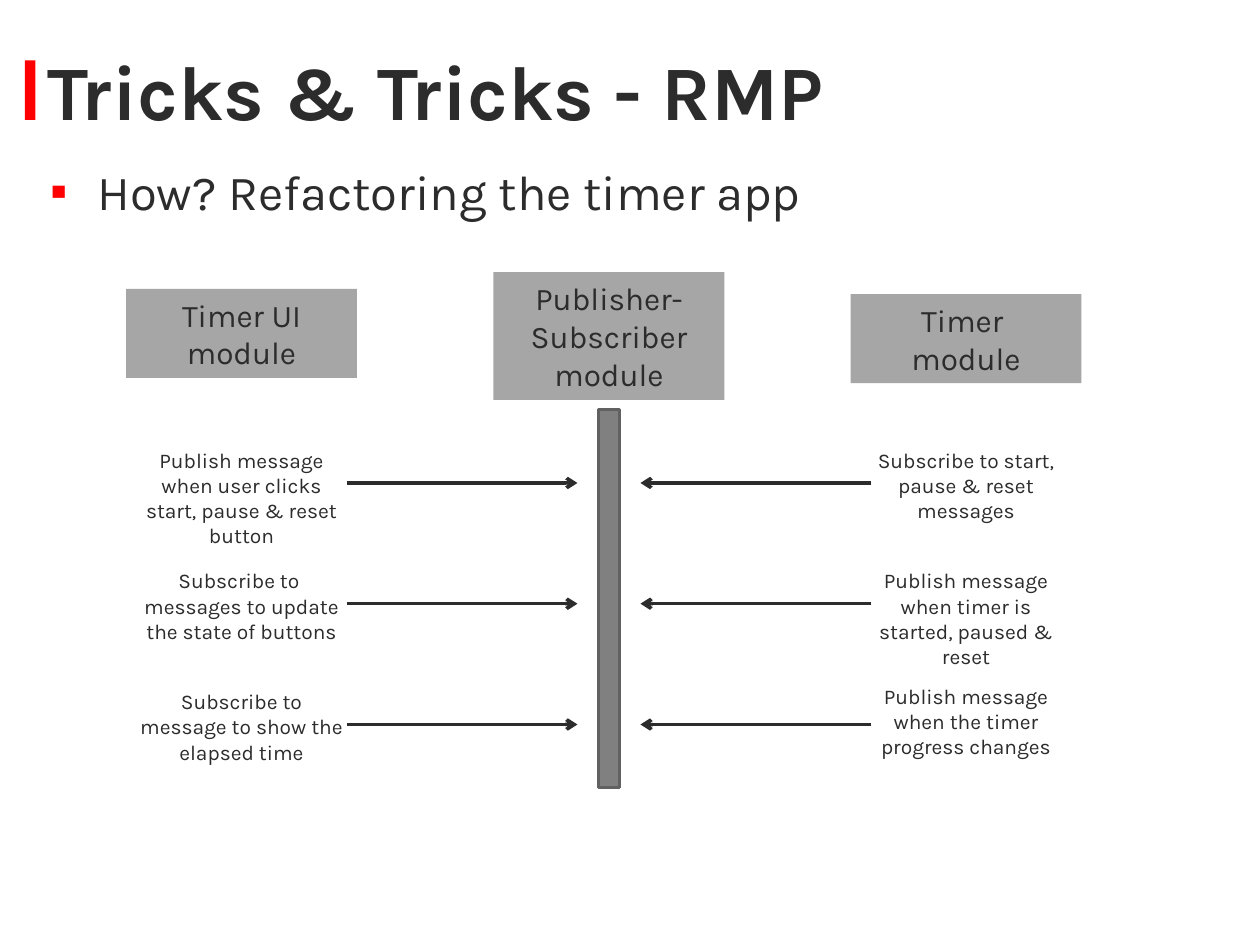
from lxml.etree import SubElement, Element
from pptx import Presentation
from pptx.dml.color import RGBColor
from pptx.enum.shapes import MSO_CONNECTOR, MSO_SHAPE
from pptx.enum.text import MSO_ANCHOR, MSO_AUTO_SIZE, PP_ALIGN
from pptx.oxml.ns import qn
from pptx.util import Pt

RED = RGBColor(0xFF, 0x00, 0x00)
INK = RGBColor(0x2C, 0x2C, 0x2C)
SILVER = RGBColor(0xA6, 0xA6, 0xA6)
GRAY = RGBColor(0x80, 0x80, 0x80)
EDGE = RGBColor(0x61, 0x61, 0x61)
FONT = "Karla"

# Column and row grid, in points
LEFT, MID, RIGHT = 72, 282, 486
WIDTH = 132
ROW, STEP = 276, 69

HEADS = [
    (LEFT, 165, 51, "Timer UI module"),
    (RIGHT, 168, 51, "Timer \nmodule"),
    (MID, 155.5, 73, "Publisher-Subscriber module"),
]
# Left text, right text, lift of each text above its arrow
NOTES = [
    ("Publish message when user clicks start, pause & reset button", 24,
     "Subscribe to start, pause & reset messages", 24),
    ("Subscribe to \nmessages to update the state of buttons", 24,
     "Publish message when timer is started, paused & reset", 24),
    ("Subscribe to message to show the elapsed time", 24,
     "Publish message when the timer progress changes", 27),
]


def place(shape, x, y, w, h):
    shape.left, shape.top, shape.width, shape.height = Pt(x), Pt(y), Pt(w), Pt(h)


def write(shape, text, size, align=PP_ALIGN.CENTER, bold=False):
    frame = shape.text_frame
    frame.text = text
    frame.word_wrap = True
    frame.auto_size = MSO_AUTO_SIZE.NONE
    for para in frame.paragraphs:
        para.alignment = align
        font = para.font
        font.name, font.size, font.bold = FONT, Pt(size), bold
        font.color.rgb = INK


def add_bar(slide, x, y, w, h, fill, edge=None):
    bar = slide.shapes.add_shape(MSO_SHAPE.RECTANGLE, Pt(x), Pt(y), Pt(w), Pt(h))
    bar.shadow.inherit = False
    bar.fill.solid()
    bar.fill.fore_color.rgb = fill
    if edge is None:
        bar.line.fill.background()
    else:
        bar.line.color.rgb = edge
        bar.line.width = Pt(2)
    return bar


def add_note(slide, x, y, text):
    box = slide.shapes.add_textbox(Pt(x), Pt(y), Pt(WIDTH), Pt(51))
    write(box, text, 12)


def add_arrow(slide, start, end, y):
    line = slide.shapes.add_connector(
        MSO_CONNECTOR.STRAIGHT, Pt(start), Pt(y), Pt(end), Pt(y))
    line.line.color.rgb = INK
    line.line.width = Pt(2)
    SubElement(line.line._get_or_add_ln(), qn("a:tailEnd"), type="arrow")
    SubElement(line._element.spPr, qn("a:effectLst"))


def set_bullet(para, char, color):
    props = para._p.get_or_add_pPr()
    tint = Element(qn("a:buClr"))
    SubElement(tint, qn("a:srgbClr"), val=str(color))
    mark = Element(qn("a:buChar"), char=char)
    props.insert(0, tint)
    props.insert(1, mark)


def main():
    deck = Presentation()
    deck.slide_width, deck.slide_height = Pt(720), Pt(540)
    slide = deck.slides.add_slide(deck.slide_layouts[1])

    # Title with its red marker
    add_bar(slide, 14.2, 34.5, 6, 34, RED)
    title = slide.shapes.title
    place(title, 20, 32, 683, 38)
    write(title, "Tricks & Tricks - RMP", 44, PP_ALIGN.LEFT, True)
    title.text_frame.vertical_anchor = MSO_ANCHOR.MIDDLE

    # Bullet line
    body = slide.placeholders[1]
    place(body, 21.5, 88.5, 684, 397.5)
    write(body, "How? Refactoring the timer app", 28, PP_ALIGN.LEFT)
    set_bullet(body.text_frame.paragraphs[0], "▪", RED)

    # Module boxes and the message bus
    for x, y, h, text in HEADS:
        write(add_bar(slide, x, y, WIDTH, h, SILVER), text, 18)
    add_bar(slide, 342, 234, 12, 216, GRAY, EDGE)

    # Messages on both sides of the bus
    for i, (pub, rise, sub, lift) in enumerate(NOTES):
        y = ROW + i * STEP
        add_arrow(slide, 198, 330, y)
        add_arrow(slide, 498, 366, y)
        add_note(slide, LEFT, y - rise, pub)
        add_note(slide, RIGHT, y - lift, sub)

    deck.save("out.pptx")


if __name__ == "__main__":
    main()
